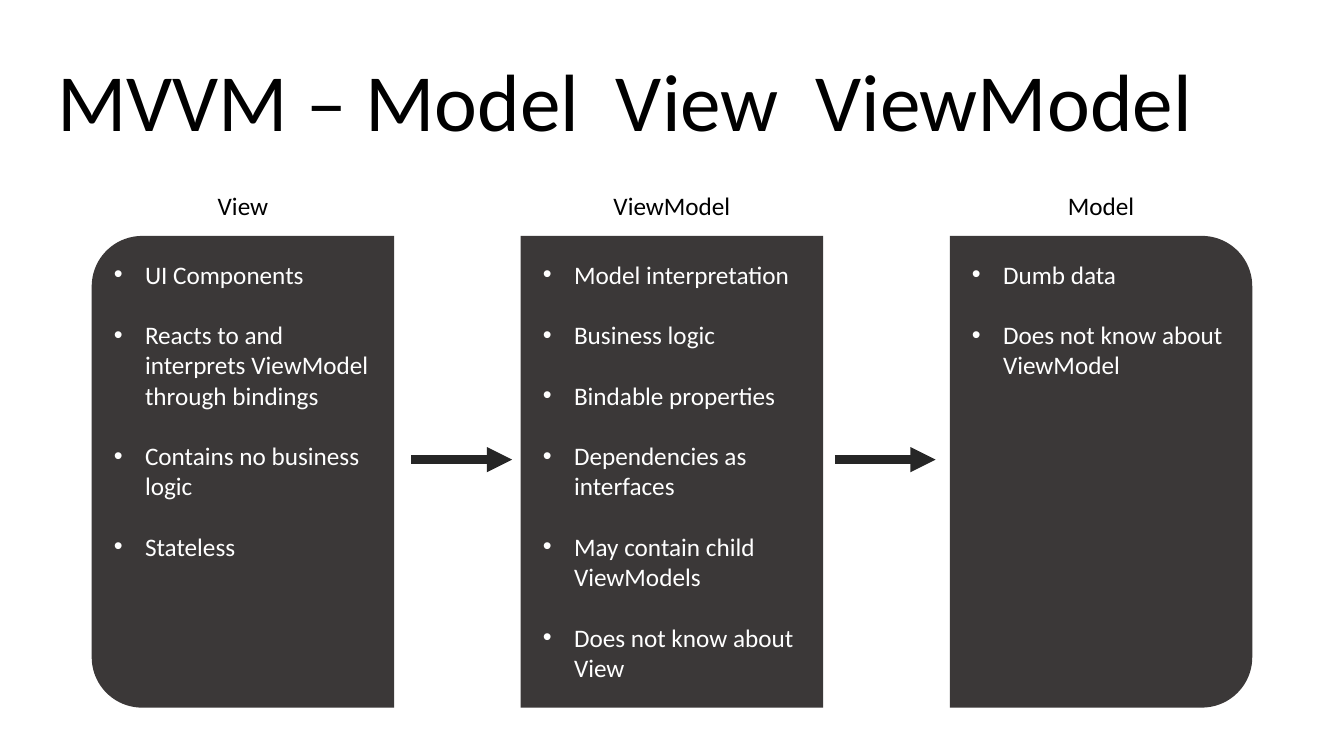
import pptx
import pptx.util
import pptx.dml.color
import pptx.enum.shapes
import pptx.enum.text
import pptx.oxml.ns
from lxml import etree

Inches = pptx.util.Inches
Pt = pptx.util.Pt
Shape = pptx.enum.shapes.MSO_SHAPE
Align = pptx.enum.text.PP_ALIGN
Anchor = pptx.enum.text.MSO_ANCHOR
qn = pptx.oxml.ns.qn

COLUMNS = [
    ("View", Shape.ROUND_2_SAME_RECTANGLE, 270, [
        "UI Components",
        "Reacts to and interprets ViewModel through bindings",
        "Contains no business logic",
        "Stateless"]),
    ("ViewModel", Shape.RECTANGLE, 0, [
        "Model interpretation",
        "Business logic",
        "Bindable properties",
        "Dependencies as interfaces",
        "May contain child ViewModels",
        "Does not know about View"]),
    ("Model", Shape.ROUND_2_SAME_RECTANGLE, 90, [
        "Dumb data",
        "Does not know about ViewModel"]),
]


def color(code):
    """Turn a hex string into a colour."""
    return pptx.dml.color.RGBColor.from_string(code)


def add_bullet(para):
    """Give a paragraph a hanging round bullet."""
    props = para._p.get_or_add_pPr()
    props.set("marL", str(Inches(0.31)))
    props.set("indent", str(-Inches(0.31)))
    etree.SubElement(props, qn("a:buFont")).set("typeface", "Arial")
    etree.SubElement(props, qn("a:buChar")).set("char", "•")


def add_text(slide, box, lines, size=18, ink="000000", align=Align.LEFT,
             anchor=Anchor.TOP, bullet=False, gap=0):
    """Add a text box with one paragraph for each line."""
    frame = slide.shapes.add_textbox(*map(Inches, box)).text_frame
    frame.word_wrap = True
    frame.vertical_anchor = anchor
    for i, line in enumerate(lines):
        para = frame.paragraphs[0] if i == 0 else frame.add_paragraph()
        para.alignment = align
        para.space_before = Pt(gap if i else 0)
        if bullet:
            add_bullet(para)
        run = para.add_run()
        run.text = line
        run.font.size = Pt(size)
        run.font.name = "Calibri"
        run.font.color.rgb = color(ink)


def add_panel(slide, box, kind, turn):
    """Add a dark panel that fills the box after its turn."""
    left, top, width, height = box
    wide, high = (height, width) if turn else (width, height)
    place = (left + (width - wide) / 2, top + (height - high) / 2, wide, high)
    panel = slide.shapes.add_shape(kind, *map(Inches, place))
    panel.rotation = turn
    panel.shadow.inherit = False
    panel.fill.solid()
    panel.fill.fore_color.rgb = color("3B3838")
    panel.line.fill.background()


def add_column(slide, box, title, kind, turn, items):
    """Add a heading, a panel and its bullet list."""
    left, top, width, height = box
    add_text(slide, (left, top, width, 0.5), [title],
             align=Align.CENTER, anchor=Anchor.MIDDLE)
    add_panel(slide, (left, top + 0.55, width, height - 0.55), kind, turn)
    add_text(slide, (left + 0.12, top + 0.73, width - 0.25, height - 0.9),
             items, ink="FFFFFF", bullet=True, gap=21.6)


def add_arrow(slide, left, top, width):
    """Add a thick arrow that points right."""
    arrow = slide.shapes.add_connector(
        pptx.enum.shapes.MSO_CONNECTOR.STRAIGHT,
        *map(Inches, (left, top, left + width, top)))
    arrow.line.width = Pt(6)
    arrow.line.color.rgb = color("262626")
    line = arrow.line._get_or_add_ln()
    etree.SubElement(line, qn("a:tailEnd")).set("type", "triangle")
    etree.SubElement(arrow._element.spPr, qn("a:effectLst"))


def add_flow(slide, box):
    """Add the three columns and the arrows between them."""
    left, top, width, height = box
    wide = 3
    step = (width - wide) / (len(COLUMNS) - 1)
    for i, column in enumerate(COLUMNS):
        add_column(slide, (left + i * step, top, wide, height), *column)
    for i in range(len(COLUMNS) - 1):
        add_arrow(slide, left + 3.17 + i * 4.2, top + 2.77, 1)


def main():
    """Build and save the slide."""
    deck = pptx.Presentation()
    deck.slide_width = Inches(13.33)
    deck.slide_height = Inches(7.5)
    slide = deck.slides.add_slide(deck.slide_layouts[6])
    add_text(slide, (0.47, 0.45, 12.43, 1.08),
             ["MVVM – Model  View  ViewModel"], size=58)
    add_flow(slide, (0.91, 1.79, 11.51, 5.23))
    deck.save("out.pptx")


main()
